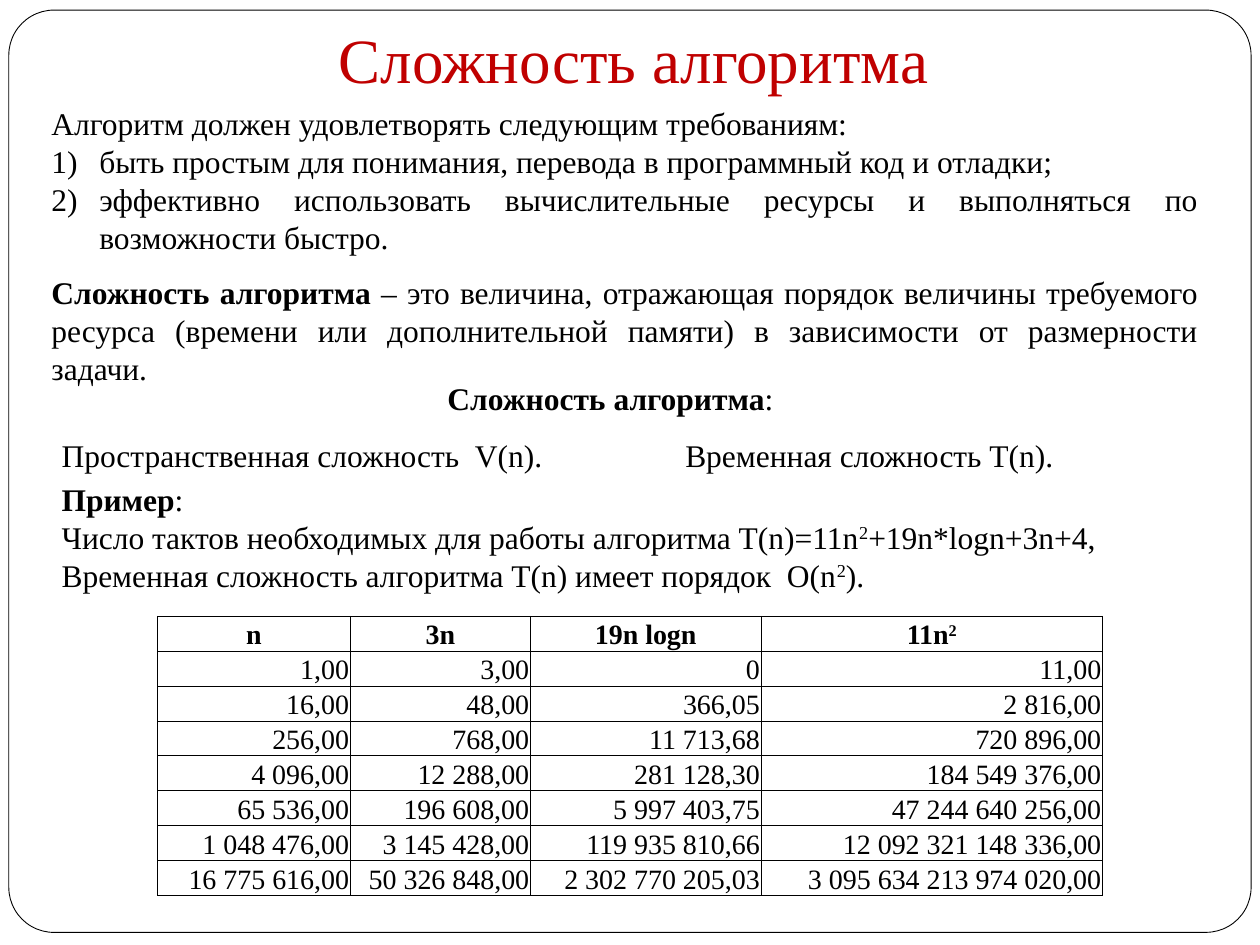
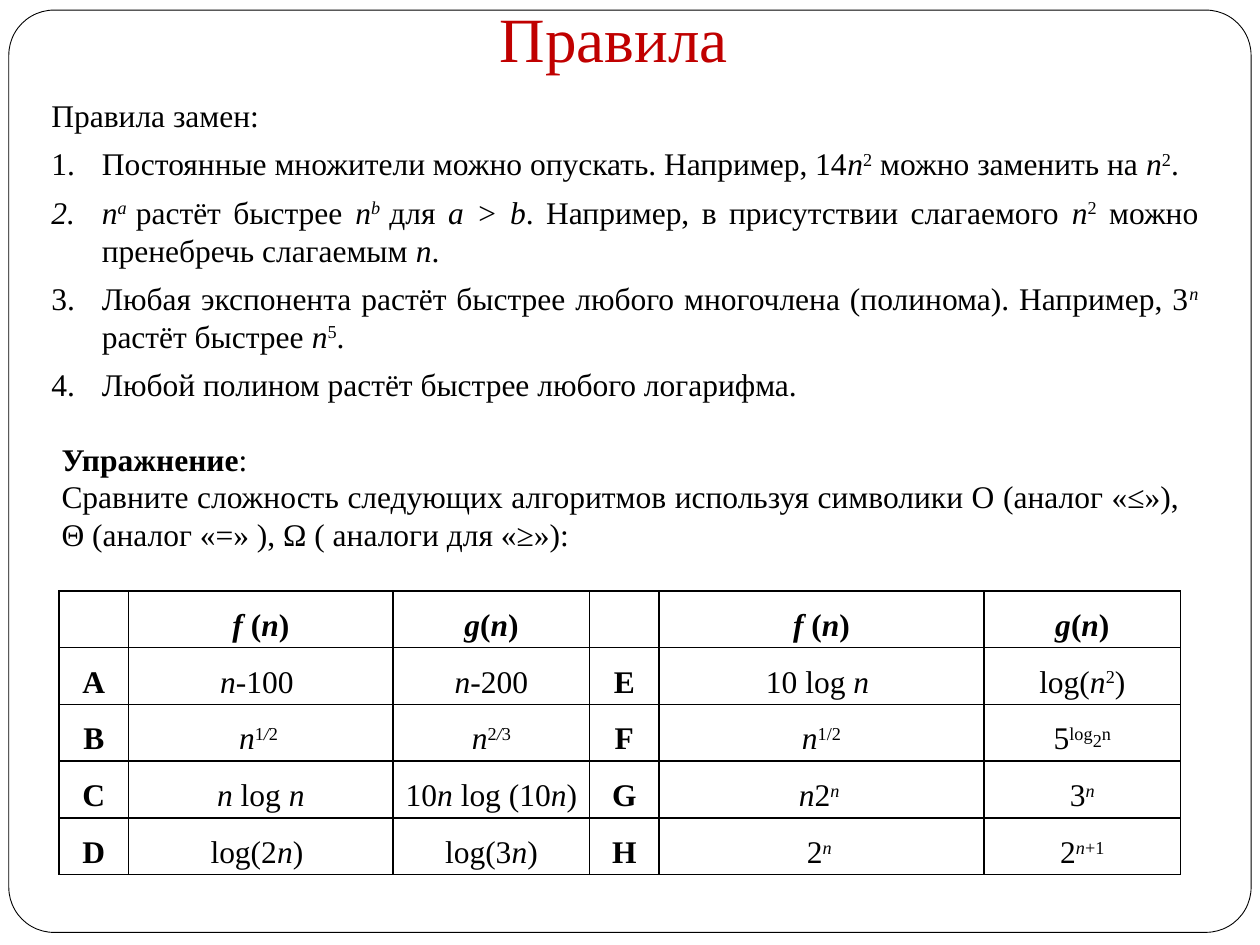
"""Build two slides on algorithm complexity and growth-rate rules."""
from itertools import product

from lxml.etree import SubElement
from pptx import Presentation
from pptx.dml.color import RGBColor
from pptx.enum.shapes import MSO_SHAPE
from pptx.enum.text import MSO_ANCHOR, PP_ALIGN
from pptx.oxml.ns import qn
from pptx.util import Inches, Pt

FONT = "Times New Roman"
BLACK, WHITE, RED = "000000", "FFFFFF", "C00000"
LEFT, CENTER, RIGHT, JUSTIFY = PP_ALIGN.LEFT, PP_ALIGN.CENTER, PP_ALIGN.RIGHT, PP_ALIGN.JUSTIFY
TOP, MIDDLE, BOTTOM = MSO_ANCHOR.TOP, MSO_ANCHOR.MIDDLE, MSO_ANCHOR.BOTTOM
TITLE_INSETS = (0.1, 0.05, 0.1, 0.1)
BOX_INSETS = (0.1, 0.05, 0.1, 0.05)

# Inline marks: ` bold, _ italic, ^ superscript, ~ index inside a superscript.
MARKS = {"`": "bold", "_": "italic", "^": "super", "~": "index"}
BASELINES = {"super": "30000", "index": "8000"}

PAREN = dict(number="arabicParenR", indent=0.38)
RULE = dict(number="arabicPeriod", indent=0.4, before=6)

COMPLEXITY = dict(
    title=("Сложность алгоритма", (0.78, 0.08, 8.5, 0.78)),
    texts=[
        dict(at=(0.31, 0.78, 9.3, 1.31), align=JUSTIFY, paragraphs=[
            ("Алгоритм должен удовлетворять следующим требованиям:", {}),
            ("быть простым для понимания, перевода в программный код и отладки;", PAREN),
            ("эффективно использовать вычислительные ресурсы и выполняться по возможности быстро.", PAREN),
        ]),
        dict(at=(0.31, 2.12, 9.3, 1.01), align=JUSTIFY, paragraphs=[
            ("`Сложность алгоритма `– это величина, отражающая порядок величины требуемого ресурса "
             "(времени или дополнительной памяти) в зависимости от размерности задачи.", {}),
        ]),
        dict(at=(0.39, 2.81, 8.91, 1.01), align=LEFT, paragraphs=[
            ("`Сложность алгоритма`:", dict(align=CENTER, spacing=1.5)),
            ("Пространственная сложность  V(n).\tВременная сложность T(n).", dict(spacing=1.5, tab=4.95)),
        ]),
        dict(at=(0.39, 3.76, 9.38, 1.01), align=LEFT, paragraphs=[
            ("`Пример`:", {}),
            ("Число тактов необходимых для работы алгоритма T(n)=11n^2^+19n*logn+3n+4,", {}),
            ("Временная сложность алгоритма T(n) имеет порядок  O(n^2^).", {}),
        ]),
    ],
    table=dict(
        at=(1.25, 4.89, 7.5, 2.22), columns=(1.53, 1.43, 1.83, 2.71), border=0.5,
        insets=(0.01, 0.01, 0.01, 0), anchor=BOTTOM, size=16, align=RIGHT, spacing=None,
        rows=[
            ("`n`", "`3n`", "`19n logn`", "`11n^2^`"),
            ("1,00", "3,00", "0", "11,00"),
            ("16,00", "48,00", "366,05", "2 816,00"),
            ("256,00", "768,00", "11 713,68", "720 896,00"),
            ("4 096,00", "12 288,00", "281 128,30", "184 549 376,00"),
            ("65 536,00", "196 608,00", "5 997 403,75", "47 244 640 256,00"),
            ("1 048 476,00", "3 145 428,00", "119 935 810,66", "12 092 321 148 336,00"),
            ("16 775 616,00", "50 326 848,00", "2 302 770 205,03", "3 095 634 213 974 020,00"),
        ],
    ),
)

RULES = dict(
    title=("Правила", (0.62, 0, 8.5, 0.7)),
    texts=[
        dict(at=(0.31, 0.7, 9.3, 2.56), align=JUSTIFY, anchor=MIDDLE, paragraphs=[
            ("Правила замен:", dict(before=6)),
            ("Постоянные множители можно опускать. Например, 14_n_^2^ можно заменить на _n_^2^.", RULE),
            ("_n^a ^_растёт быстрее _n^b ^_для _a > b_. Например, в присутствии слагаемого _n_^2^ "
             "можно пренебречь слагаемым _n_.", RULE),
            ("Любая экспонента растёт быстрее любого многочлена (полинома). Например, 3_^n ^_"
             "растёт быстрее _n_^5^.", RULE),
            ("Любой полином растёт быстрее любого логарифма.", RULE),
        ]),
        dict(at=(0.39, 3.44, 9.14, 1.01), align=JUSTIFY, paragraphs=[
            ("`Упражнение`:", {}),
            ("Сравните сложность следующих алгоритмов используя символики O (аналог «≤»),  "
             "Θ (аналог «=» ), Ω ( аналоги для «≥»):", {}),
        ]),
    ],
    table=dict(
        at=(0.47, 4.69, 8.91, 2.25), columns=(0.55, 2.1, 1.56, 0.55, 2.58, 1.56), border=1,
        insets=(0.07, 0, 0.07, 0), anchor=TOP, size=18, align=CENTER, spacing=1.5,
        rows=[
            ("", "`_f _(_n_)`", "`_g_(_n_)`") * 2,
            ("`A`", "_n_-100 ", "_n_-200", "`E`", "10 log _n _", "log(_n_^2^)"),
            ("`B`", "_n_^1_/_2 ^", "_n_^2_/_3^", "`F`", "_n_^1/2^", "5^log^~2~^n^"),
            ("`C`", "_n _log _n_", "10_n _log (10_n_)", "`G`", "_n_2_^n ^_", "3_^n^_"),
            ("`D`", "log(2_n_) ", "log(3_n_)", "`H`", "2_^n ^_", "2^_n_+1^"),
        ],
    ),
)


def color(value):
    return RGBColor.from_string(value)


def box(at):
    return [Inches(length) for length in at]


def split_marks(text):
    active, piece = set(), ""
    for letter in text:
        if letter in MARKS:
            if piece:
                yield piece, frozenset(active)
            active ^= {MARKS[letter]}
            piece = ""
        else:
            piece += letter
    if piece:
        yield piece, frozenset(active)


def write(paragraph, text, size=18, ink=BLACK, align=LEFT, spacing=None,
          before=0, number=None, indent=0, tab=None):
    paragraph.alignment = align
    paragraph.space_before = Pt(before)
    if spacing:
        paragraph.line_spacing = spacing
    properties = paragraph._p.get_or_add_pPr()
    if number:
        properties.set("marL", str(Inches(indent)))
        properties.set("indent", str(-Inches(indent)))
        SubElement(properties, qn("a:buAutoNum"), type=number)
    if tab:
        stops = SubElement(properties, qn("a:tabLst"))
        SubElement(stops, qn("a:tab"), pos=str(Inches(tab)), algn="l")
    font = paragraph.font
    font.name, font.size, font.color.rgb = FONT, Pt(size), color(ink)
    for piece, styles in split_marks(text):
        run = paragraph.add_run()
        run.text = piece
        for style in styles:
            if style in BASELINES:
                run._r.get_or_add_rPr().set("baseline", BASELINES[style])
            else:
                setattr(run.font, style, True)


def set_insets(holder, insets):
    for side, inset in zip(("left", "top", "right", "bottom"), insets):
        setattr(holder, f"margin_{side}", Inches(inset))


def add_text(slide, at, paragraphs, align, anchor=TOP, insets=BOX_INSETS):
    frame = slide.shapes.add_textbox(*box(at)).text_frame
    frame.word_wrap = True
    frame.vertical_anchor = anchor
    set_insets(frame, insets)
    for index, (text, options) in enumerate(paragraphs):
        paragraph = frame.add_paragraph() if index else frame.paragraphs[0]
        write(paragraph, text, **{"align": align, **options})


def add_frame(slide):
    border = slide.shapes.add_shape(MSO_SHAPE.ROUNDED_RECTANGLE, *box((0.07, 0.08, 9.86, 7.32)))
    border.adjustments[0] = 0.049
    border.shadow.inherit = False
    border.fill.solid()
    border.fill.fore_color.rgb = color(WHITE)
    border.line.color.rgb = color(BLACK)
    border.line.width = Pt(0.5)


def add_borders(cell, width):
    properties = cell._tc.get_or_add_tcPr()
    for position, edge in enumerate(("lnL", "lnR", "lnT", "lnB")):
        line = properties.makeelement(qn(f"a:{edge}"), {"w": str(Pt(width))})
        fill = SubElement(line, qn("a:solidFill"))
        SubElement(fill, qn("a:srgbClr"), val=BLACK)
        properties.insert(position, line)


def add_grid(slide, at, columns, rows, border, insets, anchor, size, align, spacing):
    table = slide.shapes.add_table(len(rows), len(columns), *box(at)).table
    table.first_row = table.horz_banding = False
    for column, width in zip(table.columns, columns):
        column.width = Inches(width)
    for row in table.rows:
        row.height = Inches(at[3] / len(rows))
    for r, c in product(range(len(rows)), range(len(columns))):
        cell = table.cell(r, c)
        cell.fill.background()
        cell.vertical_anchor = anchor
        set_insets(cell, insets)
        add_borders(cell, border)
        write(cell.text_frame.paragraphs[0], rows[r][c], size=size,
              align=align if r else CENTER, spacing=spacing)


def main():
    deck = Presentation()
    deck.slide_width, deck.slide_height = Inches(10), Inches(7.5)
    for content in (COMPLEXITY, RULES):
        slide = deck.slides.add_slide(deck.slide_layouts[6])
        add_frame(slide)
        heading, at = content["title"]
        add_text(slide, at, [(heading, dict(size=36, ink=RED))], CENTER, BOTTOM, TITLE_INSETS)
        for text in content["texts"]:
            add_text(slide, **text)
        add_grid(slide, **content["table"])
    deck.save("out.pptx")


if __name__ == "__main__":
    main()
